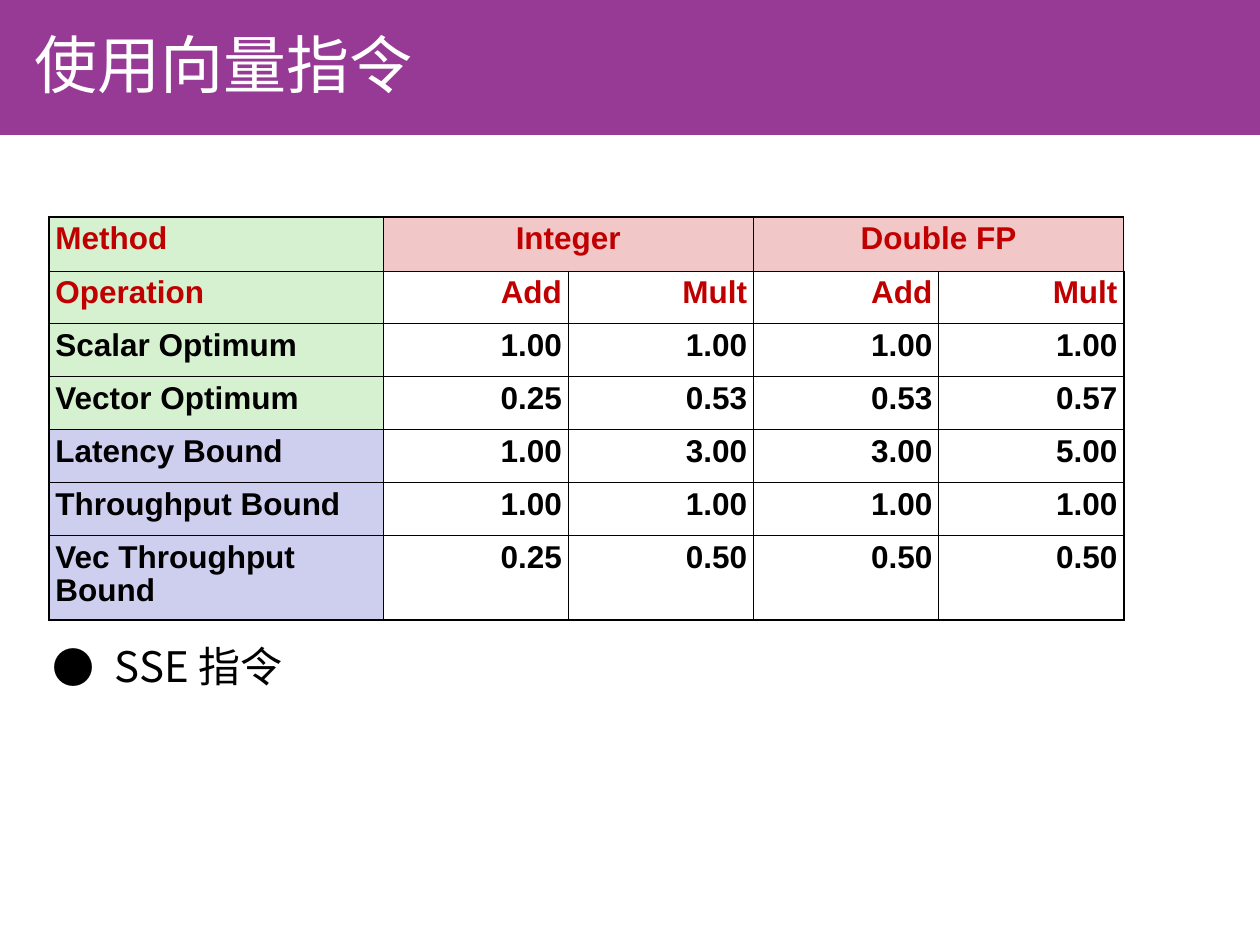
from lxml.etree import SubElement
from pptx import Presentation
from pptx.dml.color import RGBColor
from pptx.enum.shapes import MSO_SHAPE
from pptx.enum.text import MSO_ANCHOR, PP_ALIGN
from pptx.oxml.ns import qn
from pptx.util import Inches, Pt

TITLE = "使用向量指令"
BULLETS = ["SSE 指令"]
ROWS = [
    ("Method", "Integer", "", "Double FP", ""),
    ("Operation", "Add", "Mult", "Add", "Mult"),
    ("Scalar Optimum", "1.00", "1.00", "1.00", "1.00"),
    ("Vector Optimum", "0.25", "0.53", "0.53", "0.57"),
    ("Latency Bound", "1.00", "3.00", "3.00", "5.00"),
    ("Throughput Bound", "1.00", "1.00", "1.00", "1.00"),
    ("Vec Throughput Bound", "0.25", "0.50", "0.50", "0.50"),
]
COLUMN_WIDTHS = [2.65] + [1.47] * 4
ROW_HEIGHTS = [0.43] + [0.42] * 5 + [0.67]
HEADER_ROWS = 2
FIRST_BOUND_ROW = 4
COLORS = {
    "banner": "973A95",
    "white": "FFFFFF",
    "black": "000000",
    "heading": "C00000",
    "measured": "D5F1CF",
    "bound": "CECEEF",
    "type": "F1C7C7",
}
CJK_FONT = "Noto Sans CJK SC"
INNER_LINE, OUTER_LINE = 0.45, 1.08


def color(name):
    return RGBColor.from_string(COLORS[name])


def place(shape, left, top, width, height):
    shape.left, shape.top = Inches(left), Inches(top)
    shape.width, shape.height = Inches(width), Inches(height)


def add_run(paragraph, text, font_name, size, color_name, bold=False):
    run = paragraph.add_run()
    run.text = text
    run.font.name = font_name
    run.font.size = Pt(size)
    run.font.bold = bold
    run.font.color.rgb = color(color_name)
    if font_name == CJK_FONT:
        SubElement(run.font._element, qn("a:ea"), typeface=font_name)


def add_bullet(paragraph, character):
    properties = paragraph._p.get_or_add_pPr()
    properties.set("marL", str(Inches(0.49)))
    properties.set("indent", str(Inches(-0.49)))
    bullet_color = SubElement(properties, qn("a:buClr"))
    SubElement(bullet_color, qn("a:srgbClr"), val=COLORS["black"])
    SubElement(properties, qn("a:buFont"), typeface=CJK_FONT)
    SubElement(properties, qn("a:buChar"), char=character)


def set_borders(cell, row, column):
    outer_sides = {
        "L": column == 0,
        "R": column == len(COLUMN_WIDTHS) - 1,
        "T": row == 0,
        "B": row == len(ROWS) - 1,
    }
    properties = cell._tc.get_or_add_tcPr()
    for side, is_outer in outer_sides.items():
        width = Pt(OUTER_LINE if is_outer else INNER_LINE)
        line = SubElement(properties, qn(f"a:ln{side}"), w=str(width))
        fill = SubElement(line, qn("a:solidFill"))
        SubElement(fill, qn("a:srgbClr"), val=COLORS["black"])


def cell_fill(row, column):
    if column == 0:
        return "bound" if row >= FIRST_BOUND_ROW else "measured"
    return "type" if row == 0 else None


def cell_alignment(row, column):
    if column == 0:
        return PP_ALIGN.LEFT
    return PP_ALIGN.CENTER if row == 0 else PP_ALIGN.RIGHT


def format_cell(cell, row, column, text):
    cell.margin_left = cell.margin_right = Inches(0.05)
    cell.margin_top = cell.margin_bottom = Inches(0.05)
    set_borders(cell, row, column)
    fill_name = cell_fill(row, column)
    if fill_name:
        cell.fill.solid()
        cell.fill.fore_color.rgb = color(fill_name)
    else:
        cell.fill.background()
    if text:
        paragraph = cell.text_frame.paragraphs[0]
        paragraph.alignment = cell_alignment(row, column)
        paragraph.line_spacing = 0.95
        color_name = "heading" if row < HEADER_ROWS else "black"
        add_run(paragraph, text, "Arial", 18, color_name, bold=True)


def add_banner(slide):
    banner = slide.shapes.add_shape(
        MSO_SHAPE.RECTANGLE, 0, Inches(-0.01), Inches(10), Inches(1.08))
    banner.shadow.inherit = False
    banner.fill.solid()
    banner.fill.fore_color.rgb = color("banner")
    banner.line.fill.background()
    slide.shapes._spTree.insert(2, banner._element)


def add_title(slide):
    title = slide.shapes.title
    place(title, 0.17, 0.13, 6.56, 0.75)
    title.text_frame.vertical_anchor = MSO_ANCHOR.MIDDLE
    paragraph = title.text_frame.paragraphs[0]
    paragraph.alignment = PP_ALIGN.LEFT
    add_run(paragraph, TITLE, CJK_FONT, 36, "white")


def add_body(slide):
    body = slide.placeholders[1]
    place(body, 0.32, 5.03, 9.09, 2.05)
    frame = body.text_frame
    for index, text in enumerate(BULLETS):
        paragraph = frame.add_paragraph() if index else frame.paragraphs[0]
        add_bullet(paragraph, "●")
        paragraph.space_before = Pt(6 if index else 0)
        add_run(paragraph, text, CJK_FONT, 24, "black")


def add_results_table(slide):
    table = slide.shapes.add_table(
        len(ROWS), len(COLUMN_WIDTHS), Inches(0.39), Inches(1.72),
        Inches(sum(COLUMN_WIDTHS)), Inches(sum(ROW_HEIGHTS))).table
    table.first_row = table.horz_banding = False
    for column, width in zip(table.columns, COLUMN_WIDTHS):
        column.width = Inches(width)
    for row, height in zip(table.rows, ROW_HEIGHTS):
        row.height = Inches(height)
    for row, texts in enumerate(ROWS):
        for column, text in enumerate(texts):
            format_cell(table.cell(row, column), row, column, text)
    for column in (1, 3):
        table.cell(0, column).merge(table.cell(0, column + 1))


def main():
    presentation = Presentation()
    presentation.slide_width = Inches(10)
    presentation.slide_height = Inches(7.5)
    slide = presentation.slides.add_slide(presentation.slide_layouts[1])
    add_banner(slide)
    add_title(slide)
    add_body(slide)
    add_results_table(slide)
    presentation.save("out.pptx")


if __name__ == "__main__":
    main()
